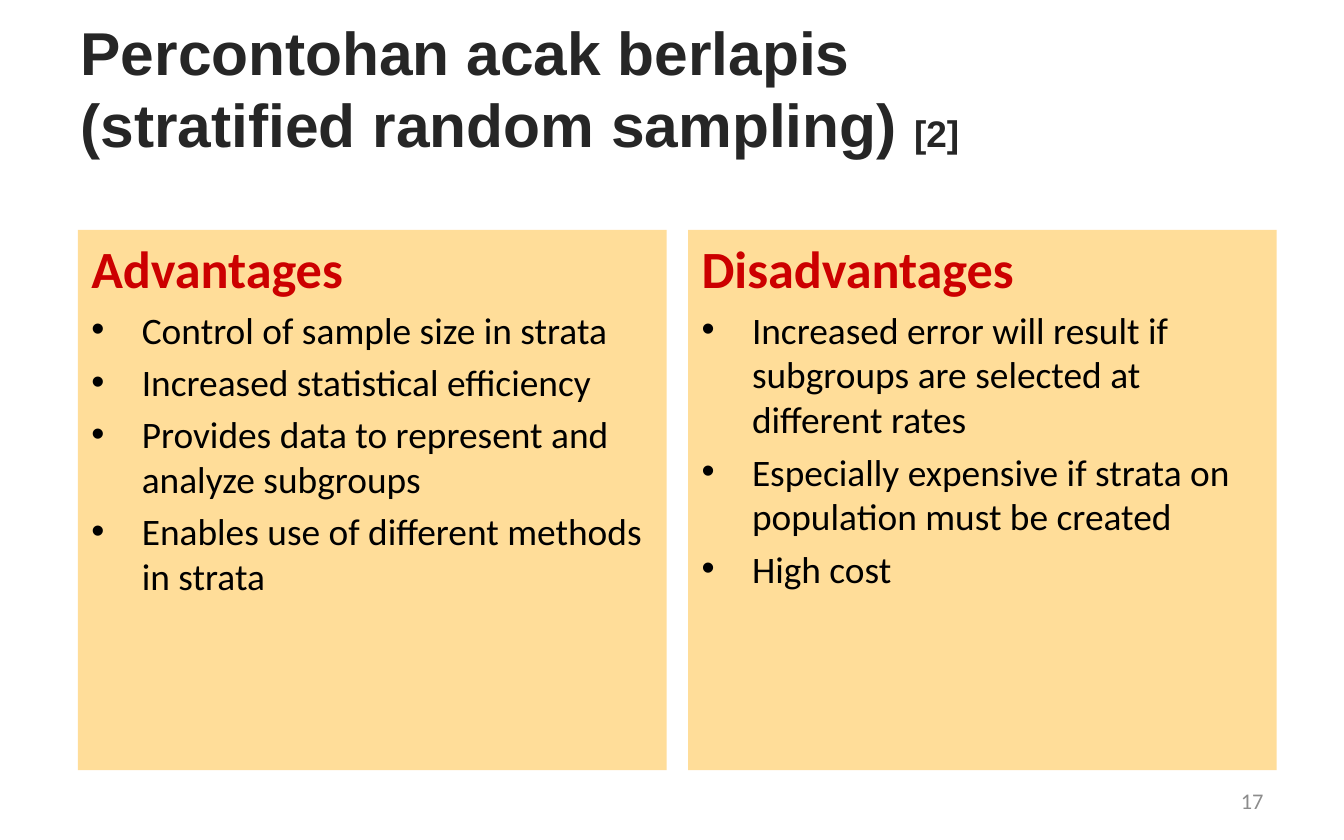
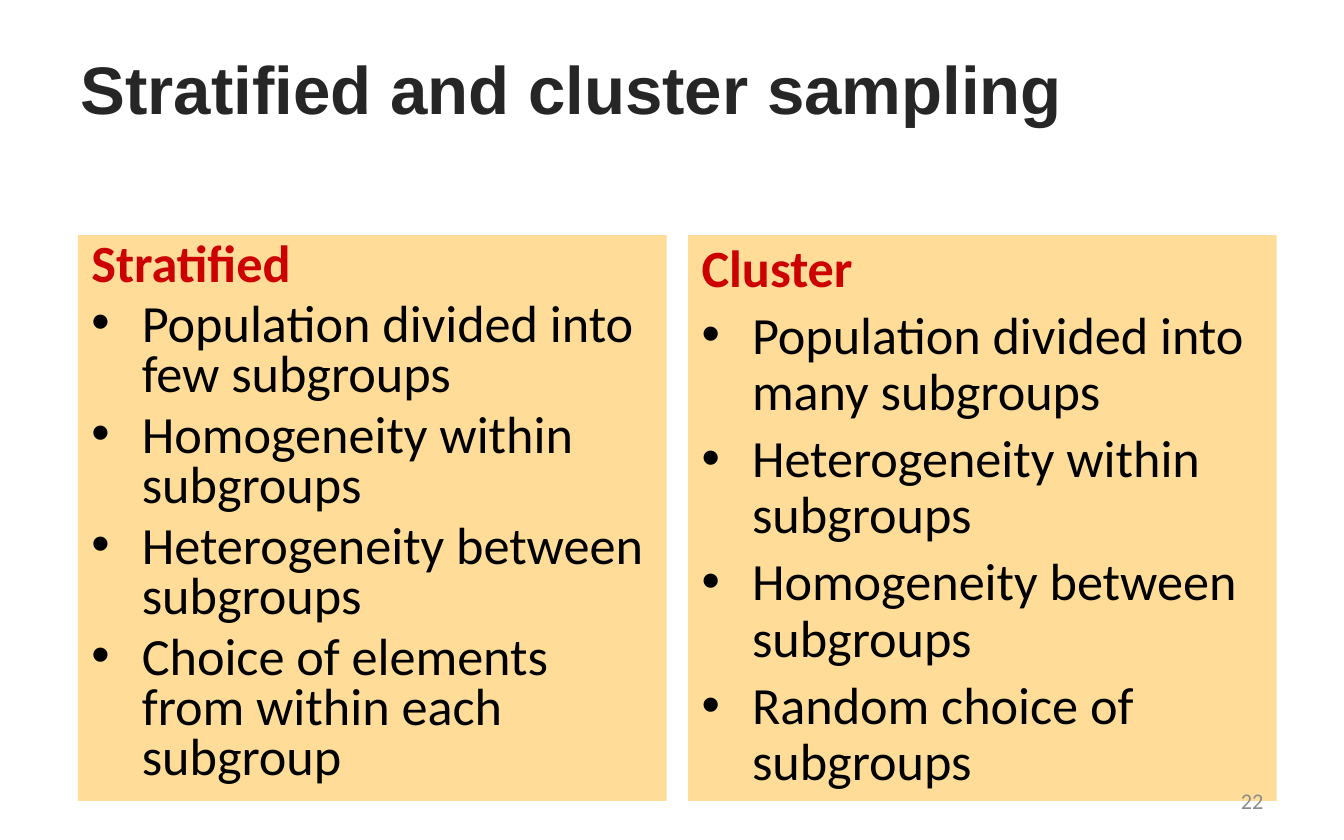
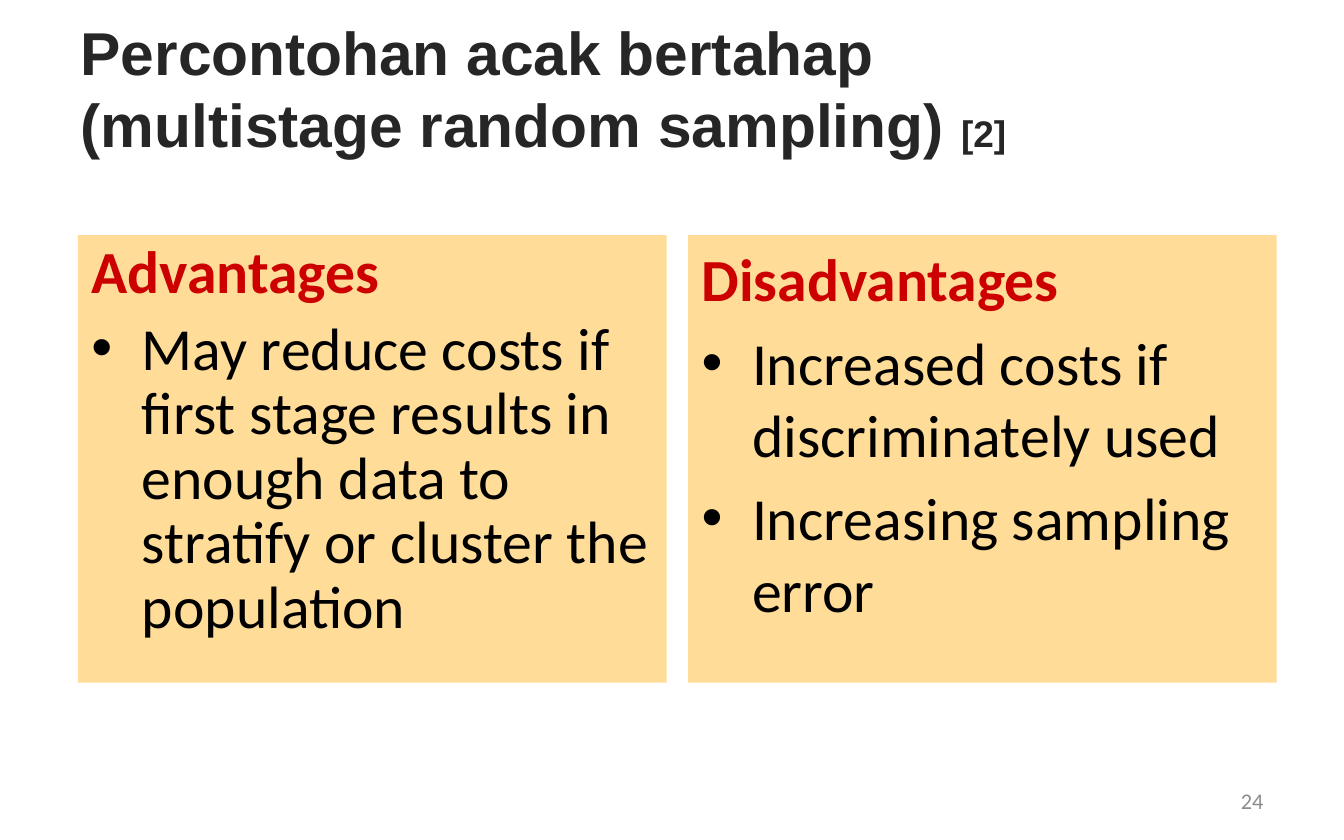
from pptx import Presentation
from pptx import util as u
from pptx.dml.color import RGBColor
from pptx.enum import text
from lxml import etree

COLORS = {"title": "262626", "panel": "FFDD99", "heading": "CC0000",
          "body": "000000", "number": "8C8C8C"}
TITLE_BOX = (0.5, 0.13, 9, 1.04)
NUMBER_BOX = (7.17, 5.79, 2.33, 0.33)
PANELS_LEFT, PANELS_WIDTH, PANEL_GAP = 0.58, 8.92, 0.16

# Font values shared by the slides
TITLE_FONT = {"name": "Arial", "bold": True, "color": "title"}
HEADING_FONT = {"name": "Calibri", "bold": True, "color": "heading"}
BODY_FONT = {"name": "Calibri", "bold": False, "color": "body"}
NUMBER_FONT = {"name": "Calibri", "size": u.Pt(12), "color": "number"}

SLIDES = [
    {"title": "Percontohan acak berlapis \v(stratified random sampling) ",
     "part": "[2]", "title_size": 32.4, "number": 17,
     "top": 1.71, "height": 4.02, "heading_size": 28, "body_size": 20,
     "panels": [
         {"heading": "Advantages", "spacing": 1.0,
          "points": ["Control of sample size in strata",
                     "Increased statistical efficiency",
                     "Provides data to represent and analyze subgroups",
                     "Enables use of different methods in strata"]},
         {"heading": "Disadvantages", "spacing": 1.0,
          "points": ["Increased error will result if subgroups are selected at different rates",
                     "Especially expensive if strata on population must be created",
                     "High cost"]}]},
    {"title": "Stratified and cluster sampling",
     "part": "", "title_size": 36, "number": 22,
     "top": 1.75, "height": 4.21, "heading_size": 28, "body_size": 28,
     "panels": [
         {"heading": "Stratified", "spacing": 0.8,
          "points": ["Population divided into few subgroups",
                     "Homogeneity within subgroups",
                     "Heterogeneity between subgroups",
                     "Choice of elements from within each subgroup"]},
         {"heading": "Cluster", "spacing": 0.9,
          "points": ["Population divided into many subgroups",
                     "Heterogeneity within subgroups",
                     "Homogeneity between subgroups",
                     "Random choice of subgroups"]}]},
    {"title": "Percontohan acak bertahap \v(multistage random sampling) ",
     "part": "[2]", "title_size": 32.4, "number": 24,
     "top": 1.75, "height": 3.33, "heading_size": 32, "body_size": 32,
     "panels": [
         {"heading": "Advantages", "spacing": 0.9,
          "points": ["May reduce costs if first stage results in enough data "
                     "to stratify or cluster the population"]},
         {"heading": "Disadvantages", "spacing": 1.0,
          "points": ["Increased costs if discriminately used",
                     "Increasing sampling error"]}]},
]


def place(shape, box):
    for side, length in zip(("left", "top", "width", "height"), box):
        setattr(shape, side, u.Inches(length))


def set_frame(shape, anchor):
    values = {"word_wrap": True, "auto_size": text.MSO_AUTO_SIZE.NONE,
              "vertical_anchor": anchor}
    for name, value in values.items():
        setattr(shape.text_frame, name, value)


def format_font(font, values):
    for name, value in values.items():
        if name == "color":
            font.color.rgb = RGBColor.from_string(COLORS[value])
        else:
            setattr(font, name, value)


def add_span(para, words, values):
    # Assigning to a paragraph turns \v into a line break
    if para.runs:
        para.add_run().text = words
        spans = para.runs[-1:]
    else:
        para.text = words
        spans = para.runs
    for span in spans:
        format_font(span.font, values)


def hide_bullet(para):
    properties = para._p.get_or_add_pPr()
    etree.SubElement(properties, properties.tag.replace("pPr", "buNone"))


def fill_title(title, box, content):
    place(title, box)
    set_frame(title, text.MSO_ANCHOR.MIDDLE)
    para = title.text_frame.paragraphs[0]
    para.alignment = text.PP_ALIGN.LEFT
    add_span(para, content["title"], {**TITLE_FONT, "size": u.Pt(content["title_size"])})
    if content["part"]:
        add_span(para, content["part"], {**TITLE_FONT, "size": u.Pt(19.8)})


def fill_panel(panel, box, content, heading_size, body_size):
    place(panel, box)
    set_frame(panel, text.MSO_ANCHOR.TOP)
    panel.fill.solid()
    panel.fill.fore_color.rgb = RGBColor.from_string(COLORS["panel"])
    # Heading without a bullet, then the bulleted points
    heading = panel.text_frame.paragraphs[0]
    add_span(heading, content["heading"], {**HEADING_FONT, "size": u.Pt(heading_size)})
    for point in content["points"]:
        add_span(panel.text_frame.add_paragraph(), point,
                 {**BODY_FONT, "size": u.Pt(body_size)})
    for para in panel.text_frame.paragraphs:
        para.line_spacing = content["spacing"]
    hide_bullet(heading)


def add_number(page, box, number):
    footer = page.shapes.add_textbox(*map(u.Inches, box))
    set_frame(footer, text.MSO_ANCHOR.MIDDLE)
    para = footer.text_frame.paragraphs[0]
    para.alignment = text.PP_ALIGN.RIGHT
    add_span(para, str(number), NUMBER_FONT)


def add_comparison(deck, content):
    page = deck.slides.add_slide(deck.slide_layouts.get_by_name("Two Content"))
    fill_title(page.shapes.title, TITLE_BOX, content)
    # Two equal panels side by side
    width = (PANELS_WIDTH - PANEL_GAP) / 2
    for column, panel in enumerate(content["panels"]):
        left = PANELS_LEFT + column * (width + PANEL_GAP)
        fill_panel(page.placeholders[column + 1],
                   (left, content["top"], width, content["height"]),
                   panel, content["heading_size"], content["body_size"])
    add_number(page, NUMBER_BOX, content["number"])


def main():
    deck = Presentation()
    deck.slide_width, deck.slide_height = u.Inches(10), u.Inches(6.25)
    for content in SLIDES:
        add_comparison(deck, content)
    deck.save("out.pptx")


if __name__ == "__main__":
    main()
